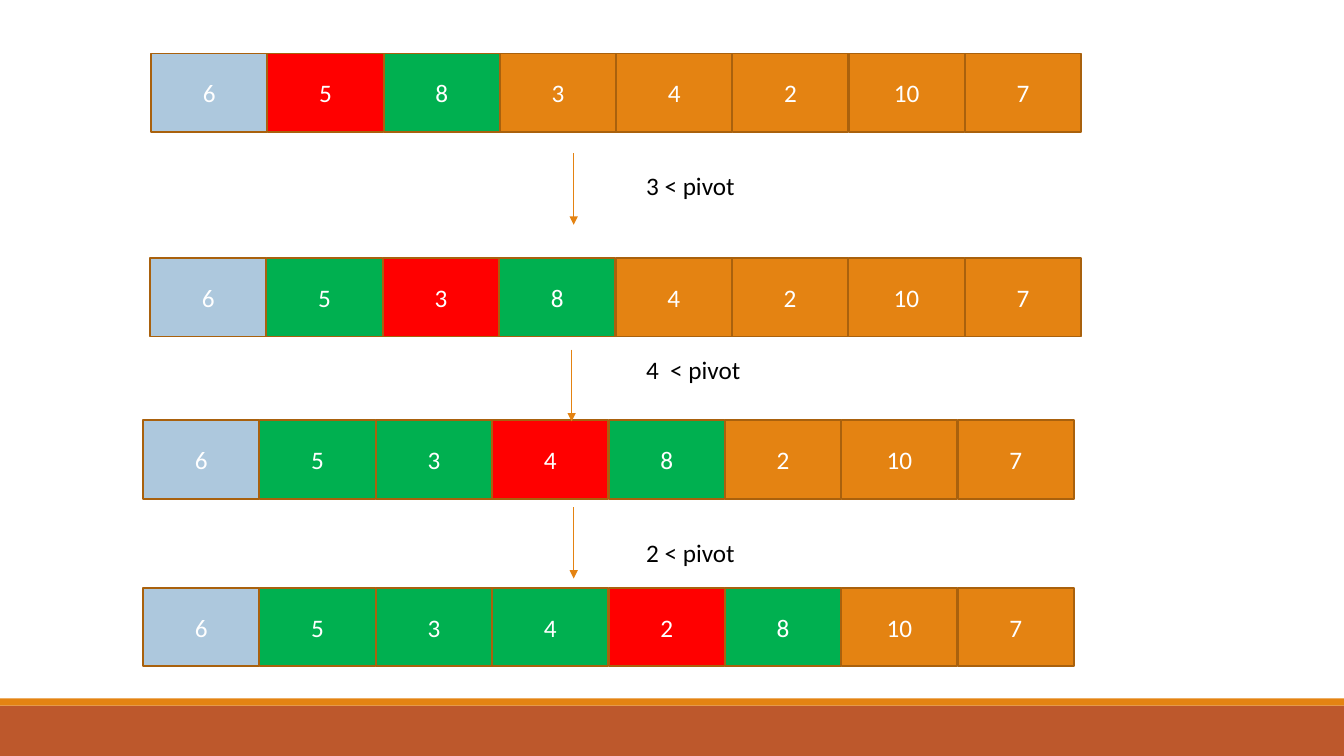
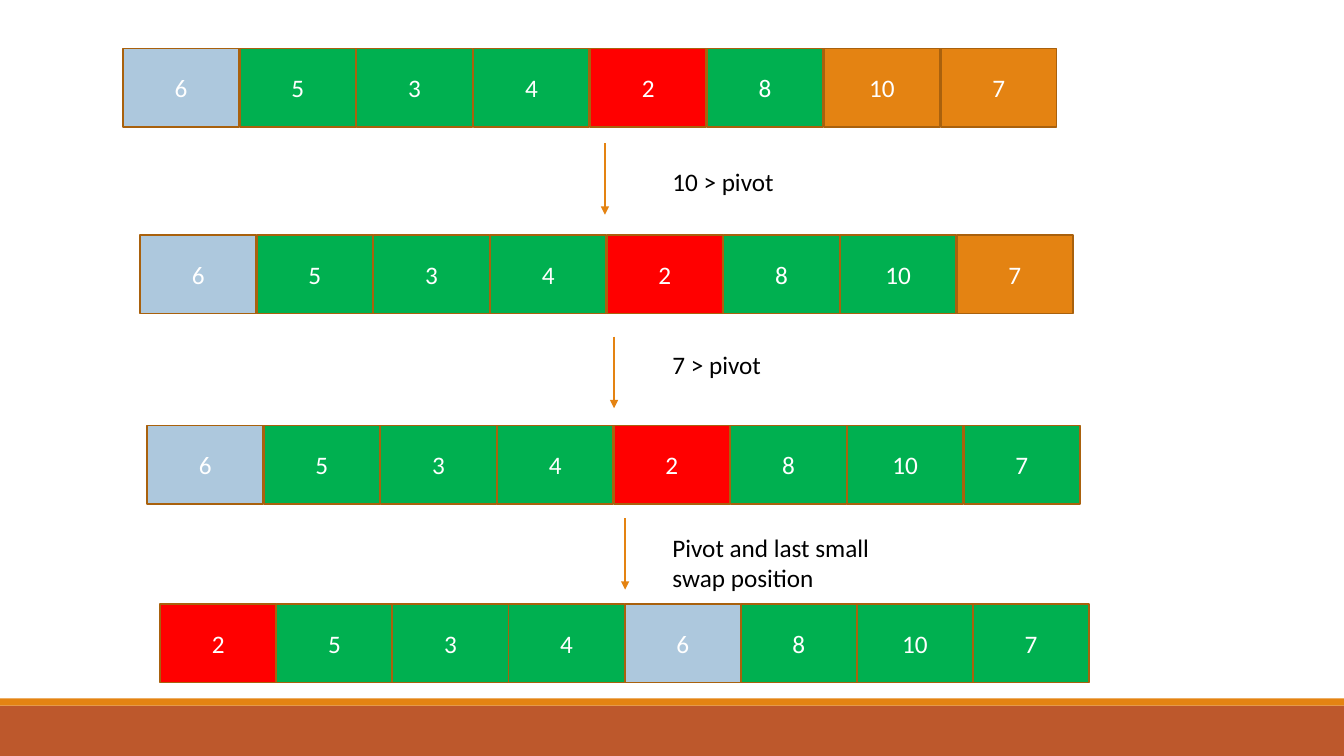
from dataclasses import dataclass

import pptx
import pptx.dml.color
import pptx.enum.shapes
import pptx.enum.text
import pptx.oxml.ns
import pptx.presentation
import pptx.shapes.autoshape
import pptx.slide
import pptx.util
from lxml import etree

Inches = pptx.util.Inches
Pt = pptx.util.Pt

SLIDE_WIDTH, SLIDE_HEIGHT = 13.33, 7.5
CELL_WIDTH, CELL_HEIGHT = 1.15, 0.78
ARROW_LENGTH = 0.71
FONT, FONT_SIZE = "Calibri", 18

ORANGE = "E48312"
RUST = "BD582C"
CELL_BORDER = "A9610D"
PIVOT_BLUE = "ADC8DD"
LAST_SMALL_RED = "FF0000"
SCANNED_GREEN = "00B050"
WHITE = "FFFFFF"
BLACK = "000000"

PIVOT = 6


@dataclass(frozen=True)
class ArrayRow:
    """One state of the array; the first `scanned` cells are already compared."""
    left: float
    last_left: float
    top: float
    values: tuple[int, ...]
    last_small: int
    scanned: int

    def cell_color(self, index: int) -> str:
        if self.values[index] == PIVOT:
            return PIVOT_BLUE
        if self.values[index] == self.last_small:
            return LAST_SMALL_RED
        return SCANNED_GREEN if index < self.scanned else ORANGE


@dataclass(frozen=True)
class Step:
    """The arrow and label between two states of the array."""
    arrow_x: float
    arrow_top: float
    label: str
    label_top: float
    label_width: float
    label_height: float = 0.4


@dataclass(frozen=True)
class PartitionSlide:
    rows: tuple[ArrayRow, ...]
    steps: tuple[Step, ...]
    label_left: float


SLIDES = (
    PartitionSlide(
        rows=(
            ArrayRow(1.5, 9.57, 0.53, (6, 5, 8, 3, 4, 2, 10, 7), 5, 3),
            ArrayRow(1.49, 9.57, 2.56, (6, 5, 3, 8, 4, 2, 10, 7), 3, 4),
            ArrayRow(1.42, 9.5, 4.17, (6, 5, 3, 4, 8, 2, 10, 7), 4, 5),
            ArrayRow(1.42, 9.5, 5.83, (6, 5, 3, 4, 2, 8, 10, 7), 2, 6),
        ),
        steps=(
            Step(5.69, 1.52, "3 < pivot", 1.64, 2.03),
            Step(5.67, 3.47, "4  < pivot", 3.47, 1.78),
            Step(5.69, 5.03, "2 < pivot", 5.28, 1.78),
        ),
        label_left=6.31,
    ),
    PartitionSlide(
        rows=(
            ArrayRow(1.22, 9.33, 0.48, (6, 5, 3, 4, 2, 8, 10, 7), 2, 6),
            ArrayRow(1.39, 9.49, 2.33, (6, 5, 3, 4, 2, 8, 10, 7), 2, 7),
            ArrayRow(1.46, 9.56, 4.22, (6, 5, 3, 4, 2, 8, 10, 7), 2, 8),
            ArrayRow(1.59, 9.65, 5.99, (2, 5, 3, 4, 6, 8, 10, 7), 2, 8),
        ),
        steps=(
            Step(6, 1.42, "10 > pivot", 1.6, 1.93),
            Step(6.09, 3.34, "7 > pivot", 3.42, 1.58),
            Step(6.2, 5.14, "Pivot and last small swap position", 5.23, 2.23, 0.71),
        ),
        label_left=6.57,
    ),
)


def rgb(color: str) -> pptx.dml.color.RGBColor:
    return pptx.dml.color.RGBColor.from_string(color)


def add_text(frame: pptx.text.text.TextFrame, text: str, color: str) -> None:
    run = frame.paragraphs[0].add_run()
    run.text = text
    run.font.name = FONT
    run.font.size = Pt(FONT_SIZE)
    run.font.color.rgb = rgb(color)


def add_rectangle(slide: pptx.slide.Slide, left: float, top: float, width: float,
                  height: float, color: str) -> pptx.shapes.autoshape.Shape:
    rectangle = slide.shapes.add_shape(
        pptx.enum.shapes.MSO_SHAPE.RECTANGLE,
        Inches(left), Inches(top), Inches(width), Inches(height))
    rectangle.shadow.inherit = False
    rectangle.fill.solid()
    rectangle.fill.fore_color.rgb = rgb(color)
    rectangle.line.fill.background()
    return rectangle


def move_bands_to_layout(slide: pptx.slide.Slide) -> None:
    """Draw the bottom bands and hand them to the layout that all slides use."""
    layout = slide.slide_layout
    for placeholder in list(layout.placeholders):
        layout.shapes.element.remove(placeholder.element)
    bands = (
        add_rectangle(slide, 0, 7, SLIDE_WIDTH, 0.5, RUST),
        add_rectangle(slide, 0, 6.93, SLIDE_WIDTH, 0.07, ORANGE),
    )
    for band in bands:
        layout.shapes.element.append(band.element)


def add_array_row(slide: pptx.slide.Slide, row: ArrayRow) -> None:
    pitch = (row.last_left - row.left) / (len(row.values) - 1)
    for index, value in enumerate(row.values):
        cell = add_rectangle(slide, row.left + index * pitch, row.top,
                             CELL_WIDTH, CELL_HEIGHT, row.cell_color(index))
        cell.line.color.rgb = rgb(CELL_BORDER)
        cell.line.width = Pt(1.25)
        cell.text_frame.vertical_anchor = pptx.enum.text.MSO_ANCHOR.MIDDLE
        cell.text_frame.paragraphs[0].alignment = pptx.enum.text.PP_ALIGN.CENTER
        add_text(cell.text_frame, str(value), WHITE)


def add_step(slide: pptx.slide.Slide, step: Step, label_left: float) -> None:
    arrow = slide.shapes.add_connector(
        pptx.enum.shapes.MSO_CONNECTOR.STRAIGHT,
        Inches(step.arrow_x), Inches(step.arrow_top),
        Inches(step.arrow_x), Inches(step.arrow_top + ARROW_LENGTH))
    arrow.line.color.rgb = rgb(ORANGE)
    arrow.line.width = Pt(1)
    qn = pptx.oxml.ns.qn
    properties = arrow.element.spPr
    etree.SubElement(properties.find(qn("a:ln")), qn("a:tailEnd"), type="triangle")
    etree.SubElement(properties, qn("a:effectLst"))

    label = slide.shapes.add_textbox(
        Inches(label_left), Inches(step.label_top),
        Inches(step.label_width), Inches(step.label_height))
    label.text_frame.word_wrap = True
    label.text_frame.auto_size = pptx.enum.text.MSO_AUTO_SIZE.SHAPE_TO_FIT_TEXT
    add_text(label.text_frame, step.label, BLACK)


def main() -> None:
    presentation = pptx.Presentation()
    presentation.slide_width = Inches(SLIDE_WIDTH)
    presentation.slide_height = Inches(SLIDE_HEIGHT)
    blank_layout = presentation.slide_layouts.get_by_name("Blank")
    for number, content in enumerate(SLIDES):
        slide = presentation.slides.add_slide(blank_layout)
        if number == 0:
            move_bands_to_layout(slide)
        for row in content.rows:
            add_array_row(slide, row)
        for step in content.steps:
            add_step(slide, step, content.label_left)
    presentation.save("out.pptx")


if __name__ == "__main__":
    main()
